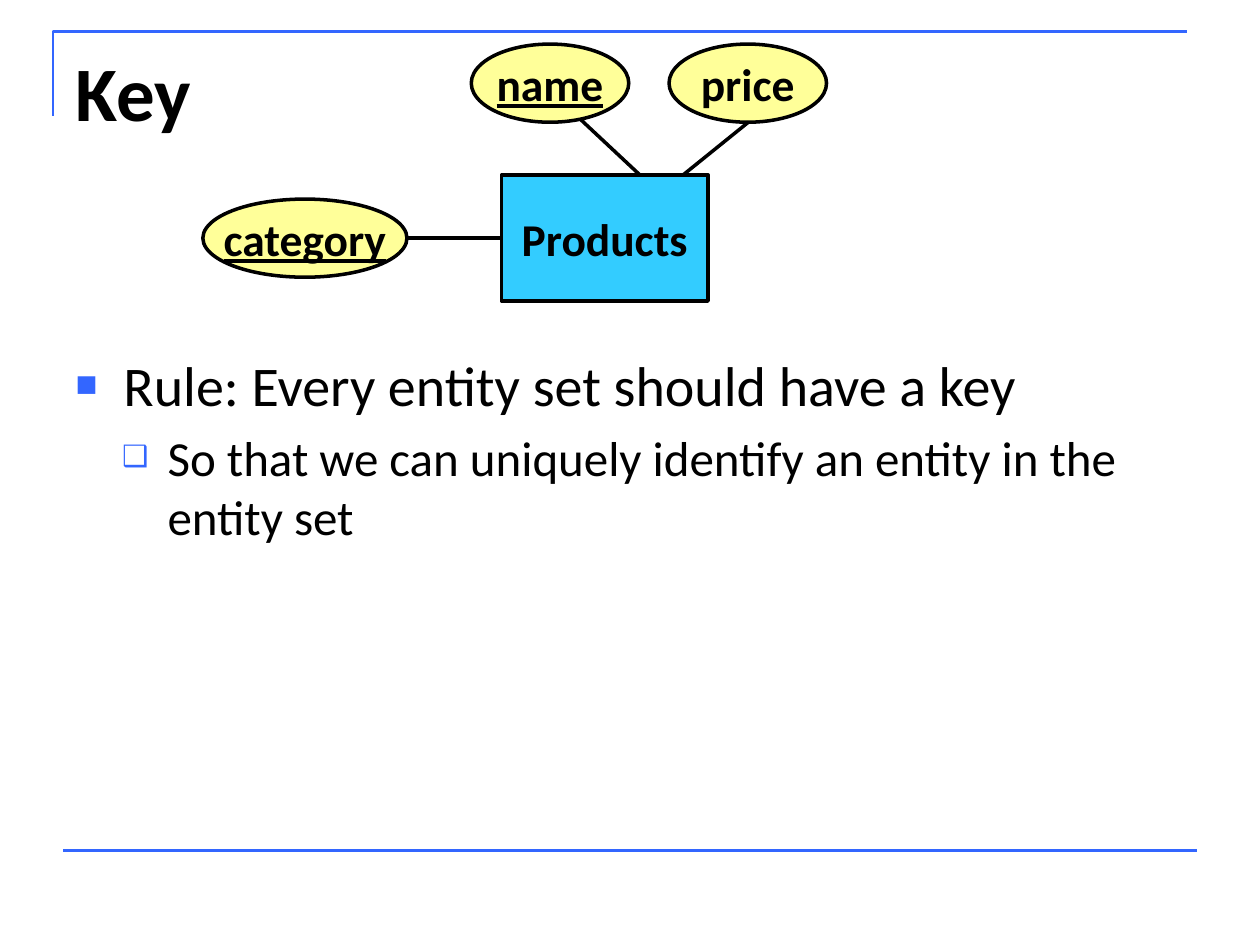
from lxml.etree import SubElement
from pptx import Presentation
from pptx.dml.color import RGBColor
from pptx.enum.shapes import MSO_CONNECTOR, MSO_SHAPE
from pptx.enum.text import MSO_ANCHOR, MSO_AUTO_SIZE, PP_ALIGN
from pptx.oxml.ns import qn
from pptx.util import Inches, Pt

COLORS = {"accent": "3366FF", "entity": "33CCFF", "attribute": "FFFF99", "ink": "000000"}
TITLE = "Key"
RULES = [
    {"text": "Rule: Every entity set should have a key", "level": 0, "size": 32,
     "bullet": "■", "bullet_pct": 65, "indent": 0.38, "hang": 0.38},
    {"text": "So that we can uniquely identify an entity in the entity set", "level": 1,
     "size": 28, "bullet": "❑", "bullet_pct": 60, "indent": 0.73, "hang": 0.36},
]
ENTITY = ("Products", 3.98, 1.39, 1.64, 1)
ATTRIBUTES = [
    ("name", 3.74, 0.35, 1.25, True),
    ("price", 5.31, 0.35, 1.25, False),
    ("category", 1.61, 1.58, 1.62, True),
]
ATTRIBUTE_HEIGHT = 0.62
NAME_LINK = (4.61, 0.95, 5.08, 1.39)
PRICE_LINK = (5.94, 0.97, 5.42, 1.39)
CATEGORY_LINK = (3.23, 1.89, 3.98, 1.89)
CORNER = [(0.42, 0.92), (0.42, 0.25), (9.42, 0.25)]
FOOT_RULE = (0.5, 6.75, 9.5, 6.75)


def rgb(name):
    """Return the palette colour of that name."""
    return RGBColor.from_string(COLORS[name])


def write(paragraph, text, size=26, bold=False, underline=False, align=PP_ALIGN.LEFT):
    """Write one formatted run into a paragraph."""
    paragraph.alignment = align
    run = paragraph.add_run()
    run.text = text
    font = run.font
    font.name, font.size, font.bold = "Calibri", Pt(size), bold
    font.underline = underline
    font.color.rgb = rgb("ink")


def place(holder, left, top, width, height):
    """Move a placeholder and anchor its text at the top."""
    holder.left, holder.top = Inches(left), Inches(top)
    holder.width, holder.height = Inches(width), Inches(height)
    frame = holder.text_frame
    frame.vertical_anchor = MSO_ANCHOR.TOP
    frame.auto_size = MSO_AUTO_SIZE.NONE
    return frame


def add_rule(paragraph, rule):
    """Fill one bulleted paragraph of the body."""
    write(paragraph, rule["text"], size=rule["size"])
    paragraph.level = rule["level"]
    paragraph.space_before = Pt(rule["size"] * 0.2)
    props = paragraph._p.get_or_add_pPr()
    props.set("marL", str(Inches(rule["indent"])))
    props.set("indent", str(-Inches(rule["hang"])))
    tint = SubElement(props, qn("a:buClr"))
    SubElement(tint, qn("a:srgbClr"), val=COLORS["accent"])
    SubElement(props, qn("a:buSzPct"), val=str(rule["bullet_pct"] * 1000))
    SubElement(props, qn("a:buChar"), char=rule["bullet"])


def add_node(shapes, kind, text, left, top, width, height, fill, underline=False):
    """Add an entity or attribute with its centred label."""
    node = shapes.add_shape(kind, Inches(left), Inches(top), Inches(width), Inches(height))
    node.shadow.inherit = False
    node.fill.solid()
    node.fill.fore_color.rgb = rgb(fill)
    node.line.color.rgb = rgb("ink")
    node.line.width = Pt(2)
    frame = node.text_frame
    frame.word_wrap = False
    frame.vertical_anchor = MSO_ANCHOR.MIDDLE
    write(frame.paragraphs[0], text, bold=True, underline=underline, align=PP_ALIGN.CENTER)
    return node


def add_link(shapes, ends, color="ink", width=2):
    """Add a straight line without a shadow."""
    link = shapes.add_connector(MSO_CONNECTOR.STRAIGHT, *map(Inches, ends))
    link.line.color.rgb = rgb(color)
    link.line.width = Pt(width)
    SubElement(link._element.spPr, qn("a:effectLst"))
    return link


def main():
    """Build the slide about keys of entity sets."""
    deck = Presentation()
    deck.slide_width, deck.slide_height = Inches(10), Inches(7.5)
    slide = deck.slides.add_slide(deck.slide_layouts[1])
    shapes = slide.shapes

    points = [(Inches(x), Inches(y)) for x, y in CORNER]
    builder = shapes.build_freeform(*points[0])
    builder.add_line_segments(points[1:], close=False)
    corner = builder.convert_to_shape()
    corner.shadow.inherit = False
    corner.fill.background()
    corner.line.color.rgb = rgb("accent")
    corner.line.width = Pt(1.5)
    add_link(shapes, FOOT_RULE, color="accent", width=1.5)

    title = place(shapes.title, 0.5, 0.3, 9, 1.25)
    write(title.paragraphs[0], TITLE, size=44, bold=True)
    body = place(slide.placeholders[1], 0.5, 2.73, 9, 3.98)
    for index, rule in enumerate(RULES):
        add_rule(body.add_paragraph() if index else body.paragraphs[0], rule)

    entity = add_node(shapes, MSO_SHAPE.RECTANGLE, *ENTITY, "entity")
    for text, left, top, width, is_key in ATTRIBUTES:
        add_node(shapes, MSO_SHAPE.OVAL, text, left, top, width, ATTRIBUTE_HEIGHT,
                 "attribute", underline=is_key)
    for ends in (NAME_LINK, PRICE_LINK):
        add_link(shapes, ends)
    add_link(shapes, CATEGORY_LINK).end_connect(entity, 1)

    deck.save("out.pptx")


if __name__ == "__main__":
    main()
